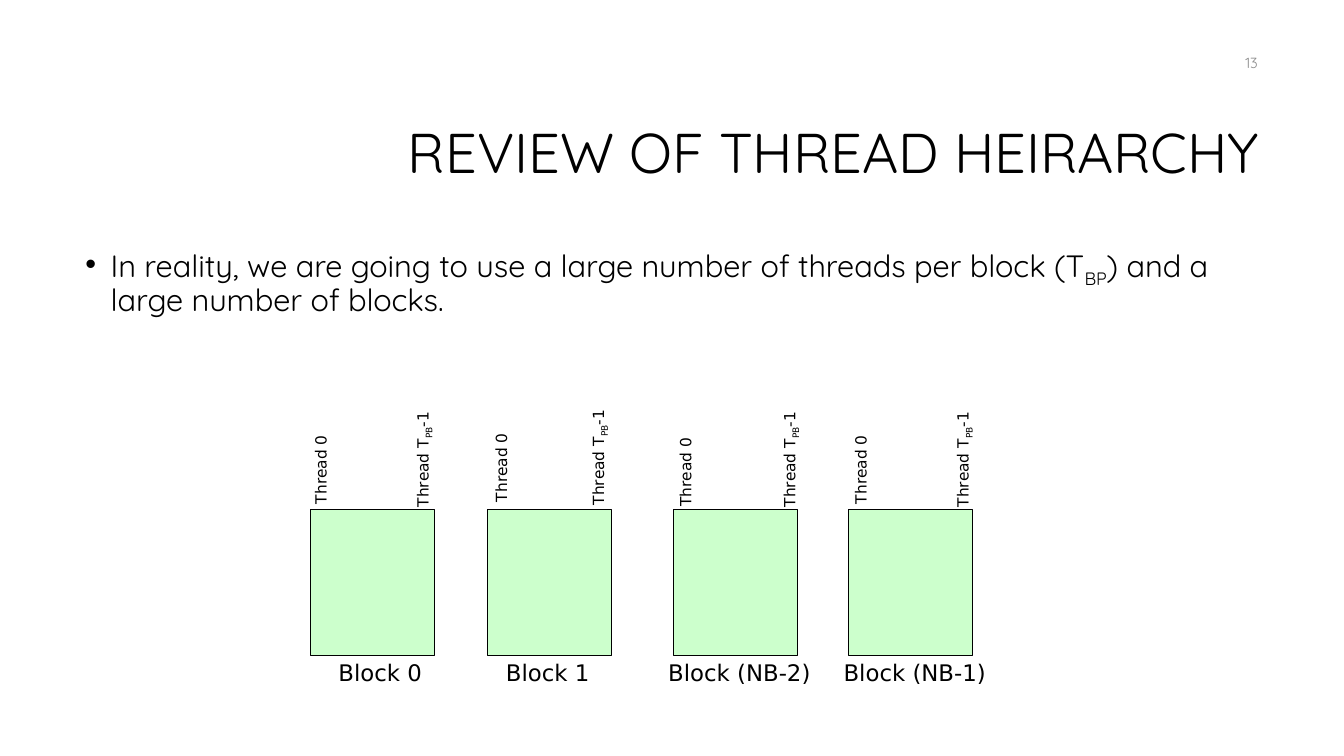
from dataclasses import dataclass

from lxml.etree import SubElement
from pptx import Presentation
from pptx.dml.color import RGBColor
from pptx.enum.shapes import MSO_SHAPE as Preset
from pptx.enum.text import MSO_ANCHOR as Anchor
from pptx.enum.text import MSO_AUTO_SIZE as AutoSize
from pptx.enum.text import PP_ALIGN as Align
from pptx.oxml.ns import qn
from pptx.slide import Slide
from pptx.text.text import TextFrame, _Paragraph as Paragraph
from pptx.util import Cm, Pt

COLOURS = {"text": "000000", "block": "CCFFCC", "page": "8C8C8C"}
HEADING_FONT = "Quicksand"
LABEL_FONT = "DejaVu Sans"

BLOCK_TOP, BLOCK_WIDTH, BLOCK_HEIGHT = 12.85, 3.13, 3.66
LABEL_TOP, LABEL_HEIGHT = 16.48, 0.97
THREAD_HEIGHT = 0.74
FIRST_WIDTH, LAST_WIDTH = 2.36, 3.28


@dataclass(frozen=True)
class Style:
    font: str
    size: float
    colour: str = "text"
    align: Align = Align.LEFT
    spacing: float = 1.0


@dataclass(frozen=True)
class Piece:
    text: str
    subscript: bool = False


@dataclass(frozen=True)
class Place:
    left: float
    top: float
    width: float
    height: float


@dataclass(frozen=True)
class Block:
    """A thread block; lengths in cm, thread positions before rotation."""
    name: str
    left: float
    label_left: float
    label_width: float
    first_thread: tuple[float, float]
    last_thread: tuple[float, float]


TITLE = Style(HEADING_FONT, 40, align=Align.RIGHT, spacing=0.9)
BODY = Style(HEADING_FONT, 22, spacing=0.9)
PAGE = Style(HEADING_FONT, 10.5, "page", Align.RIGHT)
BLOCK_LABEL = Style(LABEL_FONT, 16.3)
THREAD_LABEL = Style(LABEL_FONT, 11)

FIRST_THREAD = [Piece("Thread 0")]
LAST_THREAD = [Piece("Thread T"), Piece("PB", subscript=True), Piece("-1")]
SENTENCE = [
    Piece("In reality, we are going to use a large number of threads per block (T"),
    Piece("BP", subscript=True),
    Piece(") and a large number of blocks."),
]

BLOCKS = [
    Block("Block 0", 7.82, 8.28, 2.87, (6.91, 11.4), (9.02, 11.02)),
    Block("Block 1", 12.29, 12.5, 2.87, (11.46, 11.35), (13.44, 10.97)),
    Block("Block (NB-2)", 16.97, 16.59, 4.42, (16.1, 11.46), (18.26, 11.02)),
    Block("Block (NB-1)", 21.39, 21.01, 4.42, (20.52, 11.4), (22.63, 11.02)),
]


def place_shape(shape, place: Place) -> None:
    shape.left, shape.top = Cm(place.left), Cm(place.top)
    shape.width, shape.height = Cm(place.width), Cm(place.height)


def add_bullet(para: Paragraph) -> None:
    properties = para._p.get_or_add_pPr()
    properties.set("marL", str(Cm(0.635)))
    properties.set("indent", str(-Cm(0.635)))
    SubElement(properties, qn("a:buFont")).set("typeface", "Arial")
    SubElement(properties, qn("a:buChar")).set("char", "•")


def write_text(frame: TextFrame, pieces: list[Piece], style: Style,
               anchor: Anchor = Anchor.TOP, bullet: bool = False) -> None:
    frame.word_wrap = True
    frame.auto_size = AutoSize.NONE
    frame.vertical_anchor = anchor
    para = frame.paragraphs[0]
    if bullet:
        add_bullet(para)
    para.alignment = style.align
    para.line_spacing = style.spacing
    para.space_before = Pt(0)
    para.font.name = style.font
    para.font.size = Pt(style.size)
    para.font.color.rgb = RGBColor.from_string(COLOURS[style.colour])
    for piece in pieces:
        span = para.add_run()
        span.text = piece.text
        if piece.subscript:
            span._r.get_or_add_rPr().set("baseline", "-25000")


def add_label(page: Slide, place: Place, pieces: list[Piece], style: Style,
              anchor: Anchor = Anchor.TOP, rotation: float = 0) -> None:
    box = page.shapes.add_textbox(0, 0, 0, 0)
    place_shape(box, place)
    box.rotation = rotation
    write_text(box.text_frame, pieces, style, anchor)


def draw_block(page: Slide, block: Block) -> None:
    square = page.shapes.add_shape(
        Preset.RECTANGLE, Cm(block.left), Cm(BLOCK_TOP), Cm(BLOCK_WIDTH), Cm(BLOCK_HEIGHT))
    square.shadow.inherit = False
    square.fill.solid()
    square.fill.fore_color.rgb = RGBColor.from_string(COLOURS["block"])
    square.line.color.rgb = RGBColor.from_string(COLOURS["text"])
    square.line.width = Pt(0.75)
    add_label(page, Place(block.label_left, LABEL_TOP, block.label_width, LABEL_HEIGHT),
              [Piece(block.name)], BLOCK_LABEL)
    for position, width, pieces in (
        (block.first_thread, FIRST_WIDTH, FIRST_THREAD),
        (block.last_thread, LAST_WIDTH, LAST_THREAD),
    ):
        add_label(page, Place(*position, width, THREAD_HEIGHT), pieces,
                  THREAD_LABEL, rotation=270)


def main() -> None:
    deck = Presentation()
    deck.slide_width, deck.slide_height = Cm(33.87), Cm(19.05)
    page = deck.slides.add_slide(deck.slide_layouts[1])

    title, body = page.shapes.title, page.placeholders[1]
    place_shape(title, Place(8.05, 2.13, 23.93, 3.58))
    write_text(title.text_frame, [Piece("REVIEW OF THREAD HEIRARCHY")], TITLE, Anchor.MIDDLE)
    place_shape(body, Place(1.9, 6.1, 30.05, 11.18))
    write_text(body.text_frame, SENTENCE, BODY, bullet=True)

    add_label(page, Place(24.33, 1.07, 7.62, 1.02), [Piece("13")], PAGE, Anchor.MIDDLE)
    for block in BLOCKS:
        draw_block(page, block)
    deck.save("out.pptx")


if __name__ == "__main__":
    main()
